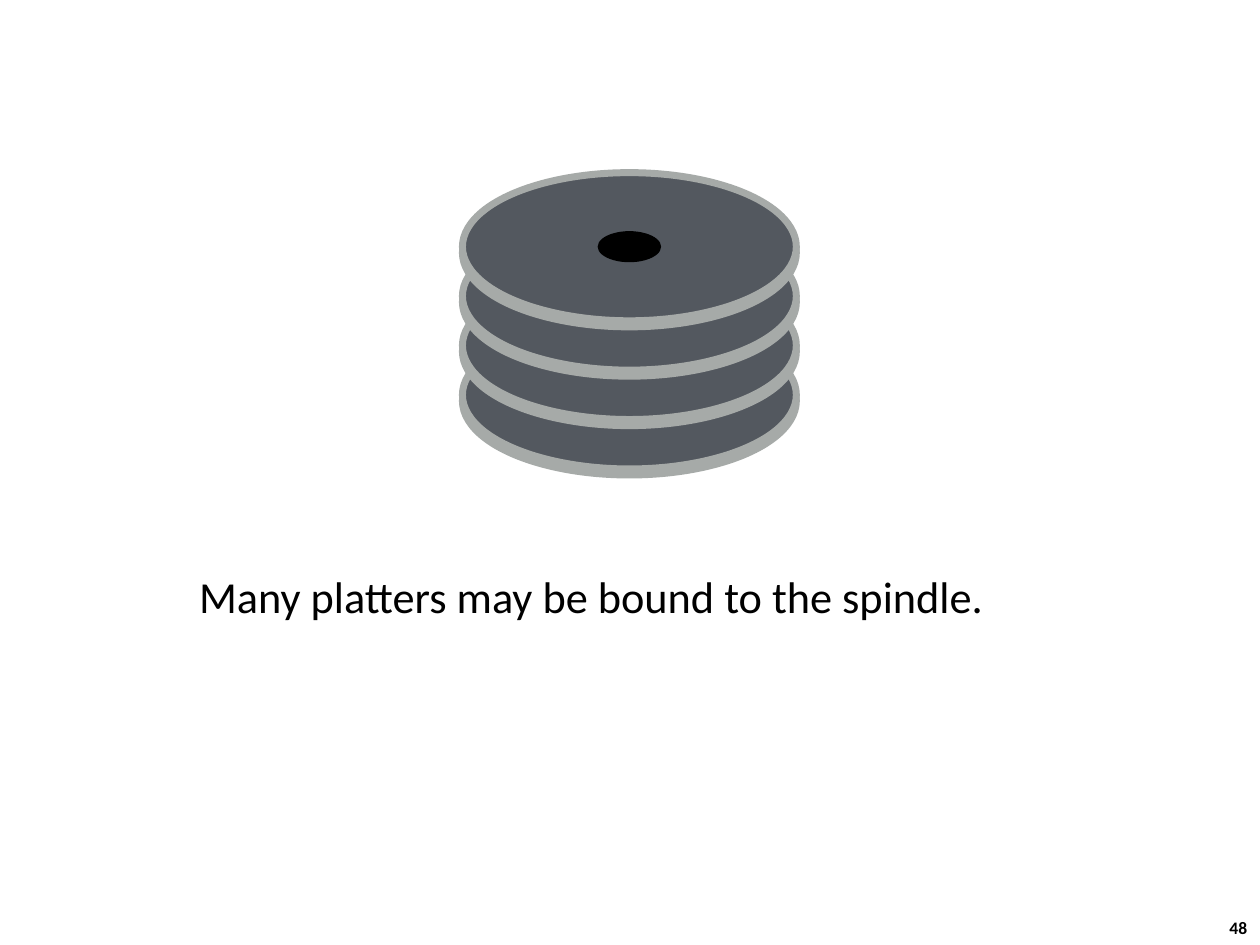
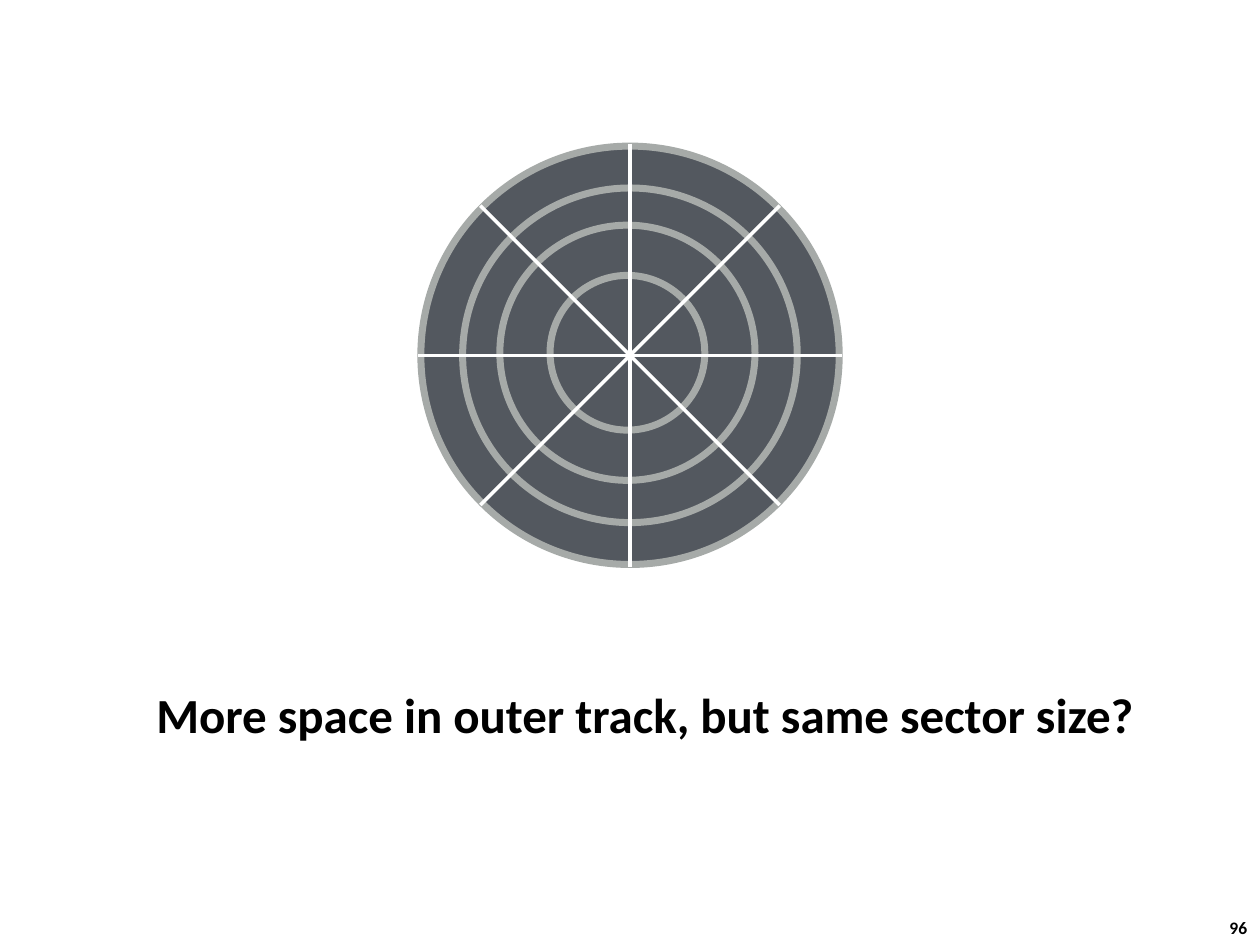
from math import cos, pi, sin

from lxml import etree
from pptx import Presentation
from pptx.dml.color import RGBColor
from pptx.enum.shapes import MSO_CONNECTOR, MSO_SHAPE
from pptx.enum.text import MSO_ANCHOR, MSO_AUTO_SIZE, PP_ALIGN
from pptx.oxml.ns import qn
from pptx.util import Inches, Pt

OVAL, STRAIGHT = MSO_SHAPE.OVAL, MSO_CONNECTOR.STRAIGHT
MIDDLE, LEFT, NO_FIT = MSO_ANCHOR.MIDDLE, PP_ALIGN.LEFT, MSO_AUTO_SIZE.NONE
TITLE_ONLY = 5
WIDTH, HEIGHT = Inches(10), Inches(7.5)
FONT = "Calibri"
COLORS = {"text": "000000", "hole": "000000", "face": "53585F",
          "rim": "A6AAA8", "spoke": "FFFFFF"}


def color(name):
    return RGBColor.from_string(COLORS[name])


def box(left, top, width, height):
    """Turn inches on the 10 by 7.5 slide into a box in EMU."""
    return tuple(Inches(v) for v in (left, top, width, height))


def set_text(shape, text, size, bold, inset):
    tf = shape.text_frame
    tf.text = text
    tf.word_wrap = False
    tf.auto_size = NO_FIT
    tf.vertical_anchor = MIDDLE
    tf.margin_left = tf.margin_right = Inches(inset)
    tf.margin_top = tf.margin_bottom = Inches(0.04)
    p = tf.paragraphs[0]
    p.alignment = LEFT
    font = p.runs[0].font
    font.name, font.size, font.bold = FONT, Pt(size), bold
    font.color.rgb = color("text")


def add_disc(shapes, cx, cy, width, height, fill, rim=None):
    """Draw an ellipse around its centre, with a thick rim if one is named."""
    disc = shapes.add_shape(OVAL, int(cx - width / 2), int(cy - height / 2),
                            int(width), int(height))
    disc.shadow.inherit = False
    disc.fill.solid()
    disc.fill.fore_color.rgb = color(fill)
    if rim:
        disc.line.color.rgb = color(rim)
        disc.line.width = Pt(4)
    else:
        disc.line.fill.background()


def add_spoke(shapes, cx, cy, radius, angle):
    dx, dy = radius * cos(angle), radius * sin(angle)
    spoke = shapes.add_connector(STRAIGHT, int(cx - dx), int(cy - dy),
                                 int(cx + dx), int(cy + dy))
    spoke.line.color.rgb = color("spoke")
    spoke.line.width = Pt(2)
    etree.SubElement(spoke._element.spPr, qn("a:effectLst"))


def platter_stack(s, left, top, width, height, count=4):
    face, lip = 0.49 * height, 0.02 * height
    pitch = (height - face - lip) / (count - 1)
    cx = left + width / 2
    for level in reversed(range(count)):
        cy = top + face / 2 + level * pitch
        platter = s.shapes.add_group_shape().shapes
        add_disc(platter, cx, cy + lip, width, face, "rim", "rim")
        add_disc(platter, cx, cy, width, face, "face", "rim")
        add_disc(platter, cx, cy, 0.19 * width, 0.21 * face, "hole")


def track_map(s, left, top, width, height, sectors=8):
    cx, cy = left + width / 2, top + height / 2
    # Each track: diameter and offset of its centre, as shares of the box
    for share, offset in ((1, 0), (0.8, 0), (0.61, -0.006), (0.37, -0.006)):
        add_disc(s.shapes, cx + offset * width, cy + offset * height,
                 share * width, share * height, "face", "rim")
    for i in range(sectors // 2):
        add_spoke(s.shapes, cx, cy, 0.506 * width, i * 2 * pi / sectors)


def add_slide(prs, number, draw, area, caption, caption_box, size, bold, inset):
    s = prs.slides.add_slide(prs.slide_layouts[TITLE_ONLY])
    title = s.shapes.title
    title.left, title.top, title.width, title.height = caption_box
    set_text(title, caption, size, bold, inset)
    draw(s, *area)
    page = s.shapes.add_textbox(*box(9.66, 7.23, 0.37, 0.27))
    set_text(page, number, 10, True, 0.1)


def main():
    prs = Presentation()
    prs.slide_width, prs.slide_height = WIDTH, HEIGHT
    add_slide(prs, "48", platter_stack, box(3.67, 1.37, 2.65, 2.4),
              "Many platters may be bound to the spindle.",
              box(1.54, 4.48, 6.37, 0.5), 25.3, False, 0.04)
    add_slide(prs, "96", track_map, box(3.34, 1.16, 3.32, 3.32),
              "More space in outer track, but same sector size?",
              box(1.14, 5.38, 8.05, 0.57), 28, True, 0.1)
    prs.save("out.pptx")


if __name__ == "__main__":
    main()
